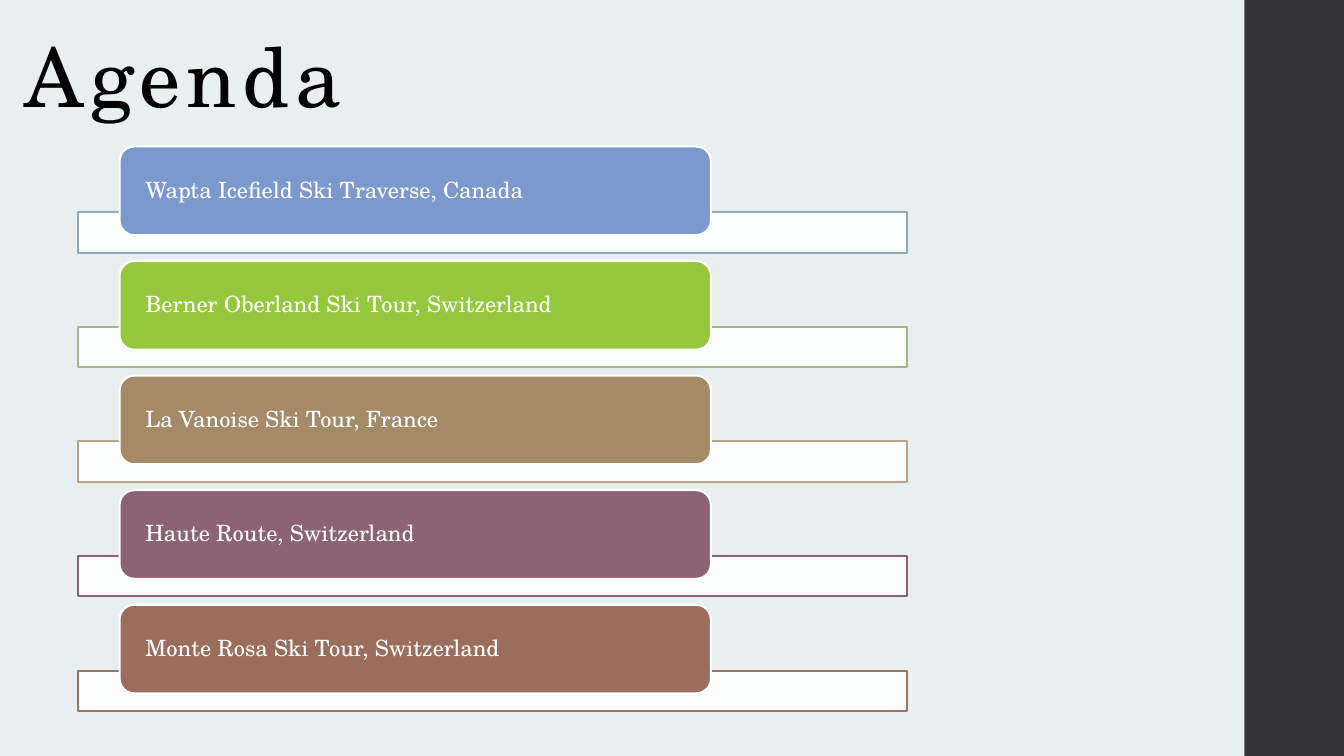
from pptx import Presentation
from pptx import util as u
from pptx.dml.color import RGBColor
from pptx.enum import shapes, text
from pptx.oxml.ns import qn
from lxml import etree

WIDTH = 10
HEIGHT = WIDTH * 9 / 16
FIRST_TOP, LAST_TOP = 1.09, 4.5
FONT = "TeX Gyre Schola"
COLORS = {"background": "E9EEF1", "side": "353537", "white": "FFFFFF", "black": "000000"}
TOURS = [
    ("Wapta Icefield Ski Traverse, Canada", "7C99CD", "92A9B9"),
    ("Berner Oberland Ski Tour, Switzerland", "96C83D", "A7B789"),
    ("La Vanoise Ski Tour, France", "A58A67", "B9A489"),
    ("Haute Route, Switzerland", "8D6374", "8D6374"),
    ("Monte Rosa Ski Tour, Switzerland", "9B6D5C", "9B7362"),
]
ROW_STEP = (LAST_TOP - FIRST_TOP) / (len(TOURS) - 1)


def place(shape, left, top, width, height):
    shape.left, shape.top = u.Inches(left), u.Inches(top)
    shape.width, shape.height = u.Inches(width), u.Inches(height)


def add_box(page, kind, bounds, fill, line=None):
    box = page.shapes.add_shape(kind, *(u.Inches(length) for length in bounds))
    box.shadow.inherit = False
    box.fill.solid()
    box.fill.fore_color.rgb = RGBColor.from_string(fill)
    if line:
        box.line.color.rgb = RGBColor.from_string(line)
        box.line.width = u.Pt(1.1)
    else:
        box.line.fill.background()
    return box


def write(shape, words, size, color, anchor):
    frame = shape.text_frame
    frame.text = words
    frame.word_wrap = True
    frame.auto_size = text.MSO_AUTO_SIZE.NONE
    frame.vertical_anchor = anchor
    para = frame.paragraphs[0]
    para.alignment = text.PP_ALIGN.LEFT
    para.line_spacing = 0.9
    span = para.runs[0]
    span.font.name = FONT
    span.font.size = u.Pt(size)
    span.font.color.rgb = RGBColor.from_string(color)
    return span


def add_title(page, words):
    title = page.shapes.title
    place(title, 0.08, 0.29, 7.95, 0.69)
    span = write(title, words, 44, COLORS["black"], text.MSO_ANCHOR.BOTTOM)
    span.font._element.set("spc", "300")


def add_tour(page, row, name, fill, outline):
    top = FIRST_TOP + row * ROW_STEP
    bar = add_box(page, shapes.MSO_SHAPE.RECTANGLE, (0.58, top + 0.49, 6.17, 0.3),
                  COLORS["white"], outline)
    color = bar.fill._xPr.find(qn("a:solidFill"))[0]
    etree.SubElement(color, qn("a:alpha"), val="90000")
    label = add_box(page, shapes.MSO_SHAPE.ROUNDED_RECTANGLE, (0.89, top, 4.4, 0.66),
                    fill, COLORS["white"])
    frame = label.text_frame
    frame.margin_left = frame.margin_right = u.Inches(0.16)
    frame.margin_top = frame.margin_bottom = 0
    write(label, name, 12, COLORS["white"], text.MSO_ANCHOR.MIDDLE)


def main():
    """Build the agenda slide with one labelled bar per ski tour."""
    deck = Presentation()
    deck.slide_width, deck.slide_height = u.Inches(WIDTH), u.Inches(HEIGHT)
    page = deck.slides.add_slide(deck.slide_layouts[5])
    page.background.fill.solid()
    page.background.fill.fore_color.rgb = RGBColor.from_string(COLORS["background"])
    add_box(page, shapes.MSO_SHAPE.RECTANGLE, (9.26, 0, WIDTH - 9.26, HEIGHT), COLORS["side"])
    add_title(page, "Agenda")
    for row, tour in enumerate(TOURS):
        add_tour(page, row, *tour)
    deck.save("out.pptx")


if __name__ == "__main__":
    main()
